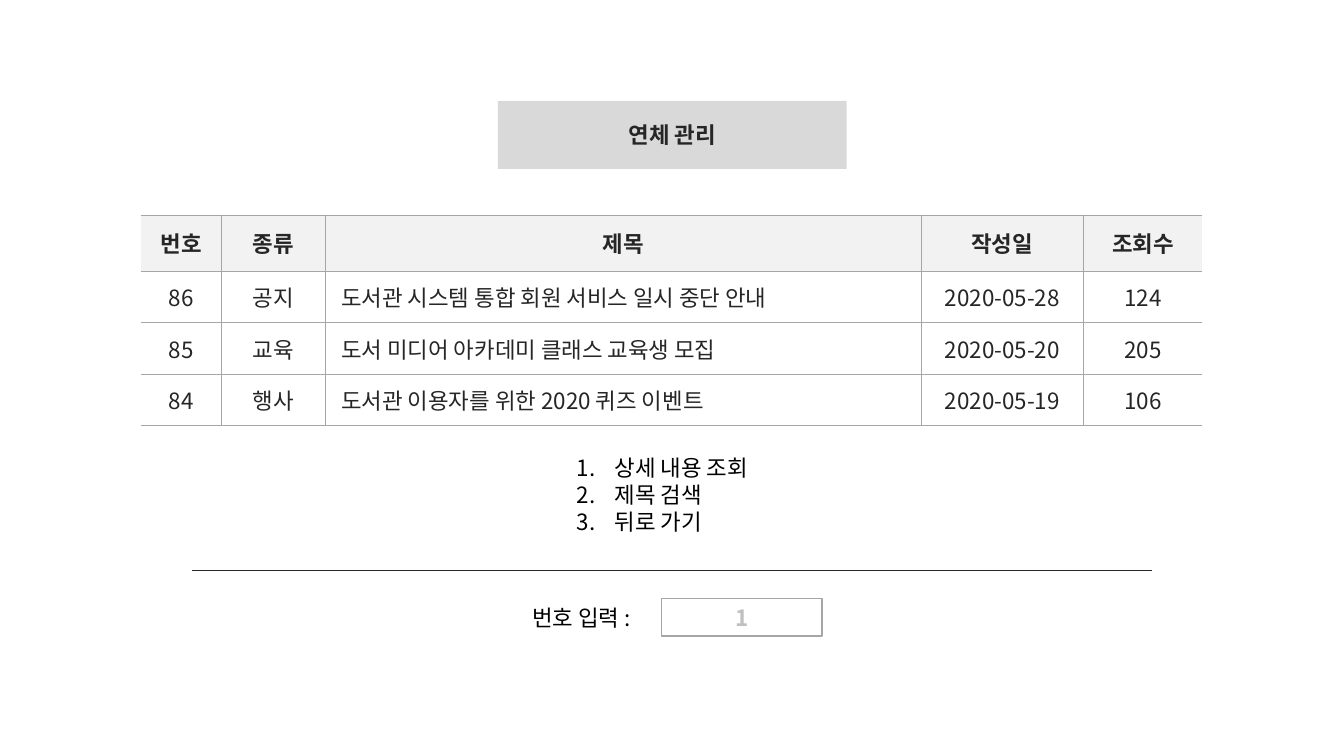
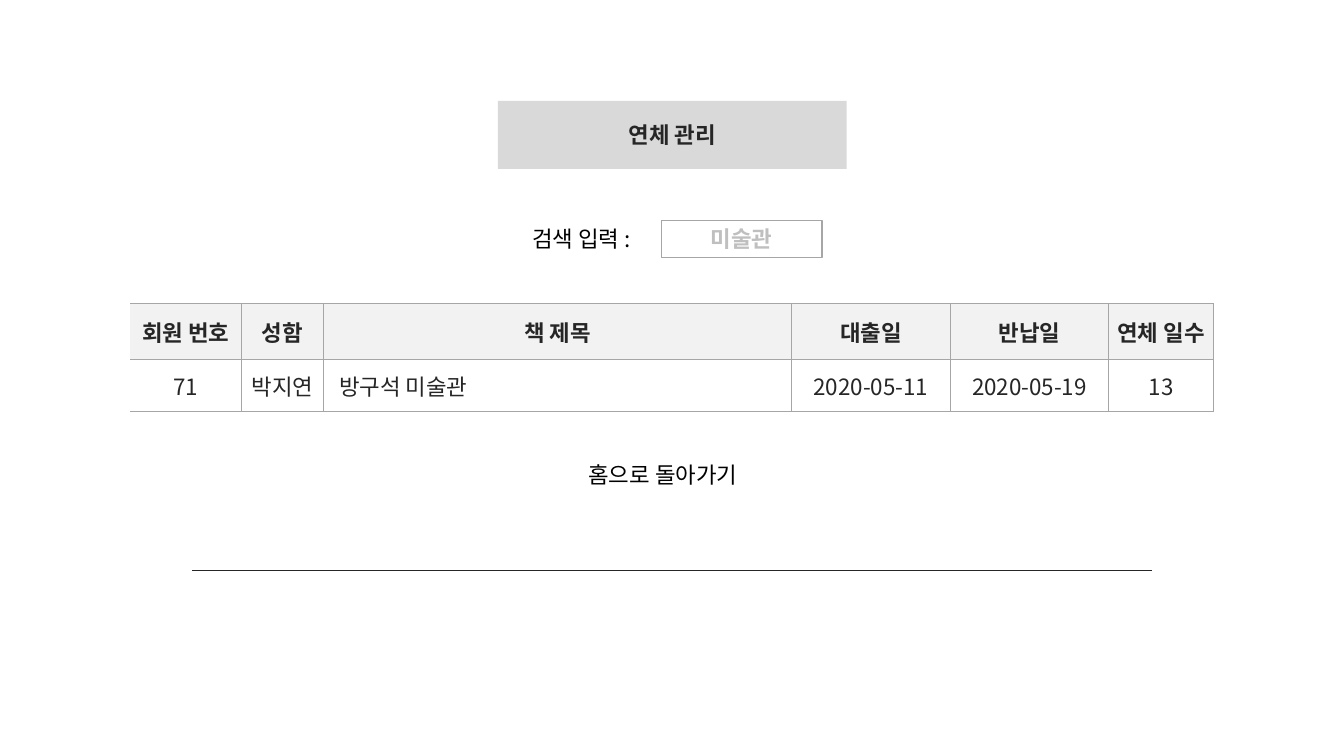
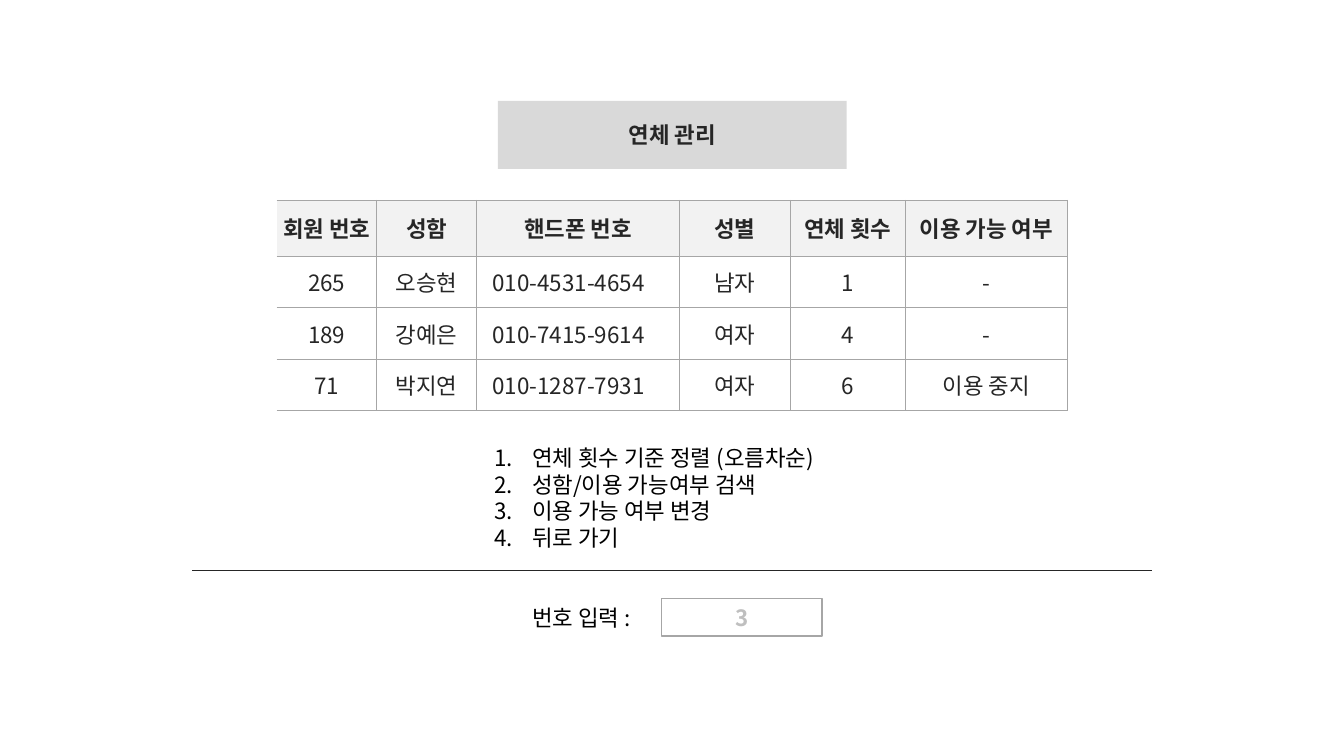
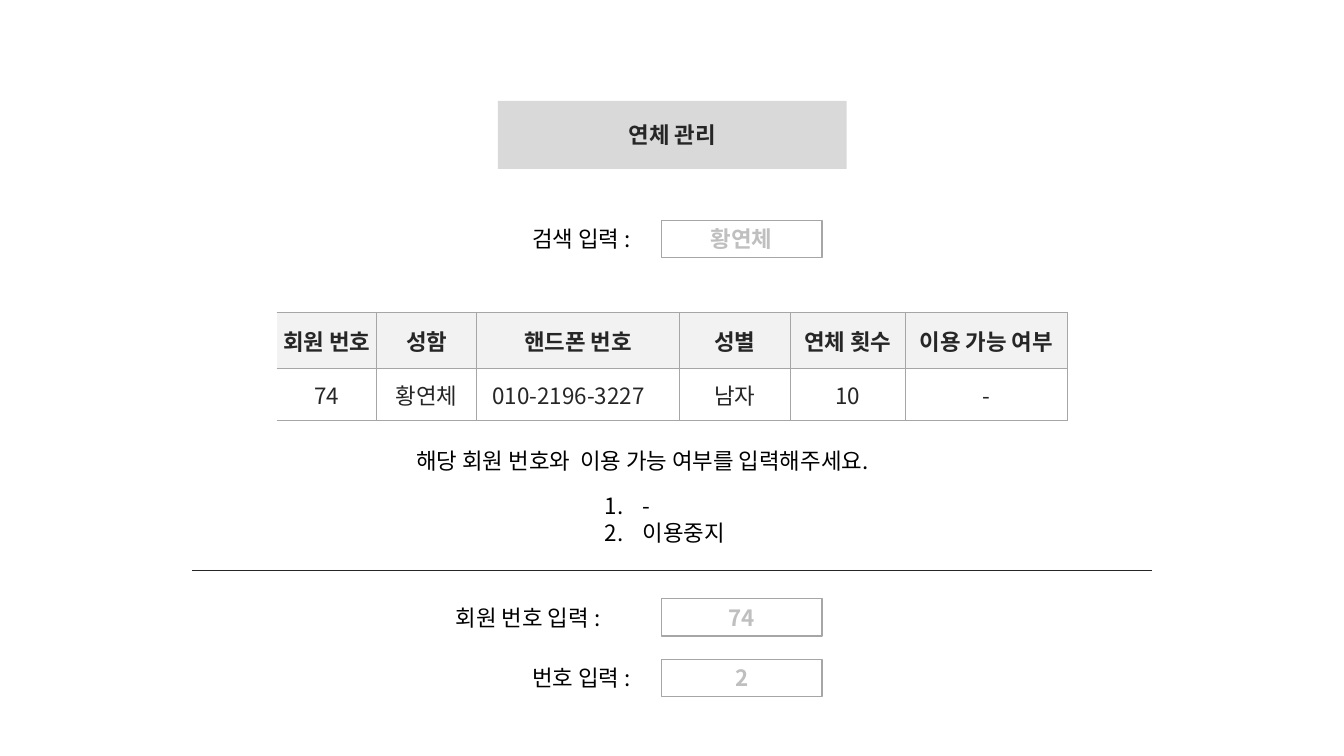
from lxml import etree
from pptx import Presentation
from pptx.dml.color import RGBColor
from pptx.enum import shapes, text
from pptx.oxml import ns
from pptx.util import Pt

KOREAN = "Noto Sans CJK KR"
INK, BLACK, HINT, GRID = "262626", "000000", "BFBFBF", "A6A6A6"
BAND, HEADER, WHITE = "D9D9D9", "F2F2F2", "FFFFFF"
HEADER_HEIGHT, ROW_HEIGHT, FIELD_HEIGHT = 40, 36.8, 26.6
INDENT = 27

MEMBER_COLUMNS = [71.5, 71.5, 144.5, 79.5, 82, 116]
MEMBER_HEADER = ["회원 번호", "성함", "핸드폰 번호", "성별", "연체 횟수", "이용 가능 여부"]

# table: left, top, column widths, rows, whether the right edge is ruled
# fields: label left, label width, top, label, entry
# menu: left, top, width, height, numbered items
# message: left, top, width, wording
screens = [
    {
        "table": (100.8, 153.6, [57.5, 74.2, 425.5, 116, 85], [
            ["번호", "종류", "제목", "작성일", "조회수"],
            ["86", "공지", "도서관 시스템 통합 회원 서비스 일시 중단 안내", "2020-05-28", "124"],
            ["85", "교육", "도서 미디어 아카데미 클래스 교육생 모집", "2020-05-20", "205"],
            ["84", "행사", "도서관 이용자를 위한 2020 퀴즈 이벤트", "2020-05-19", "106"],
        ], False),
        "fields": [(373, 100, 427.7, "번호 입력 :", "1")],
        "menu": (404.8, 321, 150, 65.5, ["상세 내용 조회", "제목 검색", "뒤로 가기"]),
    },
    {
        "table": (93, 216.8, [79.5, 58.5, 334.5, 113.3, 113.3, 74.7], [
            ["회원 번호", "성함", "책 제목", "대출일", "반납일", "연체 일수"],
            ["71", "박지연", "방구석 미술관", "2020-05-11", "2020-05-19", "13"],
        ], True),
        "fields": [(373, 100, 157.4, "검색 입력 :", "미술관")],
        "message": (413.3, 326, 133, "홈으로 돌아가기"),
    },
    {
        "table": (197.6, 143, MEMBER_COLUMNS, [
            MEMBER_HEADER,
            ["265", "오승현", "010-4531-4654", "남자", "1", "-"],
            ["189", "강예은", "010-7415-9614", "여자", "4", "-"],
            ["71", "박지연", "010-1287-7931", "여자", "6", "이용 중지"],
        ], True),
        "fields": [(373, 100, 427.7, "번호 입력 :", "3")],
        "menu": (345.8, 313.4, 268.5, 85, [
            "연체 횟수 기준 정렬 (오름차순)", "성함/이용 가능여부 검색",
            "이용 가능 여부 변경", "뒤로 가기"]),
    },
    {
        "table": (197.6, 223.3, MEMBER_COLUMNS, [
            MEMBER_HEADER,
            ["74", "황연체", "010-2196-3227", "남자", "10", "-"],
        ], True),
        "fields": [(318.5, 137.5, 427.7, "회원 번호 입력 :", "74"),
                   (373, 100, 471, "번호 입력 :", "2")],
        "search": (373, 100, 157.4, "검색 입력 :", "황연체"),
        "message": (290.3, 316, 381, "해당 회원 번호와  이용 가능 여부를 입력해주세요."),
        "menu": (424.8, 348, 112.3, 46, ["-", "이용중지"]),
    },
]


def color(hex_code):
    return RGBColor.from_string(hex_code)


def write(paragraph, wording, ink, bold=False, centered=False, latin=KOREAN):
    """Add one 16 pt run, with the Korean font for its East Asian letters."""
    paragraph.alignment = text.PP_ALIGN.CENTER if centered else text.PP_ALIGN.LEFT
    run = paragraph.add_run()
    run.text = wording
    run.font.size, run.font.bold, run.font.name = Pt(16), bold, latin
    run.font.color.rgb = color(ink)
    etree.SubElement(run.font._element, ns.qn("a:ea"), typeface=KOREAN)


prs = Presentation()
prs.slide_width, prs.slide_height = Pt(960), Pt(540)

for screen in screens:
    layout = prs.slide_layouts[1 if "menu" in screen else 5]
    slide = prs.slides.add_slide(layout)

    title = slide.shapes.title
    title.left, title.top, title.width, title.height = Pt(355.7), Pt(72), Pt(249), Pt(48.7)
    title.fill.solid()
    title.fill.fore_color.rgb = color(BAND)
    title.text_frame.vertical_anchor = text.MSO_ANCHOR.MIDDLE
    write(title.text_frame.paragraphs[0], "연체 관리", INK, True, True, "Arial")

    left, top, widths, rows, right_ruled = screen["table"]
    table = slide.shapes.add_table(
        len(rows), len(widths), Pt(left), Pt(top), Pt(sum(widths)),
        Pt(HEADER_HEIGHT + ROW_HEIGHT * (len(rows) - 1))).table
    for column, width in zip(table.columns, widths):
        column.width = Pt(width)
    for r, row in enumerate(rows):
        is_header = r == 0
        table.rows[r].height = Pt(HEADER_HEIGHT if is_header else ROW_HEIGHT)
        for c, wording in enumerate(row):
            cell = table.cell(r, c)
            is_left_aligned = c == 2 and not is_header
            cell.margin_top = cell.margin_right = cell.margin_bottom = 0
            cell.margin_left = Pt(11.3 if is_left_aligned else 0)
            cell.vertical_anchor = text.MSO_ANCHOR.MIDDLE
            write(cell.text_frame.paragraphs[0], wording, INK, is_header, not is_left_aligned)
            open_sides = {"L": c == 0, "R": c == len(row) - 1 and not right_ruled}
            for side in "LRTB":
                border = etree.SubElement(
                    cell._tc.get_or_add_tcPr(), ns.qn("a:ln" + side), w=str(Pt(0.75)))
                if open_sides.get(side):
                    etree.SubElement(border, ns.qn("a:noFill"))
                else:
                    stroke = etree.SubElement(border, ns.qn("a:solidFill"))
                    etree.SubElement(stroke, ns.qn("a:srgbClr"), val=GRID)
            cell.fill.solid()
            cell.fill.fore_color.rgb = color(HEADER if is_header else WHITE)

    divider = slide.shapes.add_connector(
        shapes.MSO_CONNECTOR.STRAIGHT, Pt(137.3), Pt(407.5), Pt(823), Pt(407.5))
    divider.line.color.rgb = color(INK)
    divider.line.width = Pt(0.5)
    etree.SubElement(divider._element.spPr, ns.qn("a:effectLst"))

    fields = screen["fields"] + ([screen["search"]] if "search" in screen else [])
    for left, width, top, caption, entry in fields:
        field = slide.shapes.add_group_shape().shapes
        label = field.add_textbox(Pt(left), Pt(top), Pt(width), Pt(FIELD_HEIGHT))
        label.text_frame.word_wrap = True
        write(label.text_frame.paragraphs[0], caption, BLACK)
        box = field.add_shape(shapes.MSO_SHAPE.RECTANGLE, Pt(472.4), Pt(top),
                              Pt(114.8), Pt(FIELD_HEIGHT))
        box.shadow.inherit = False
        box.fill.solid()
        box.fill.fore_color.rgb = color(WHITE)
        box.line.color.rgb = color(GRID)
        box.line.width = Pt(1)
        box.text_frame.vertical_anchor = text.MSO_ANCHOR.MIDDLE
        write(box.text_frame.paragraphs[0], entry, HINT, True, True)

    if "message" in screen:
        left, top, width, wording = screen["message"]
        message = slide.shapes.add_textbox(Pt(left), Pt(top), Pt(width), Pt(FIELD_HEIGHT))
        message.text_frame.word_wrap = True
        write(message.text_frame.paragraphs[0], wording, BLACK)

    if "menu" in screen:
        left, top, width, height, items = screen["menu"]
        menu = slide.placeholders[1]
        menu.left, menu.top, menu.width, menu.height = Pt(left), Pt(top), Pt(width), Pt(height)
        frame = menu.text_frame
        frame.auto_size = text.MSO_AUTO_SIZE.NONE
        for i, item in enumerate(items):
            paragraph = frame.add_paragraph() if i else frame.paragraphs[0]
            paragraph.space_before = Pt(0)
            write(paragraph, item, BLACK)
            properties = paragraph._p.get_or_add_pPr()
            properties.set("marL", str(Pt(INDENT)))
            properties.set("indent", str(-Pt(INDENT)))
            etree.SubElement(properties, ns.qn("a:buFont"), typeface=KOREAN)
            etree.SubElement(properties, ns.qn("a:buAutoNum"), type="arabicPeriod")

prs.save("out.pptx")
